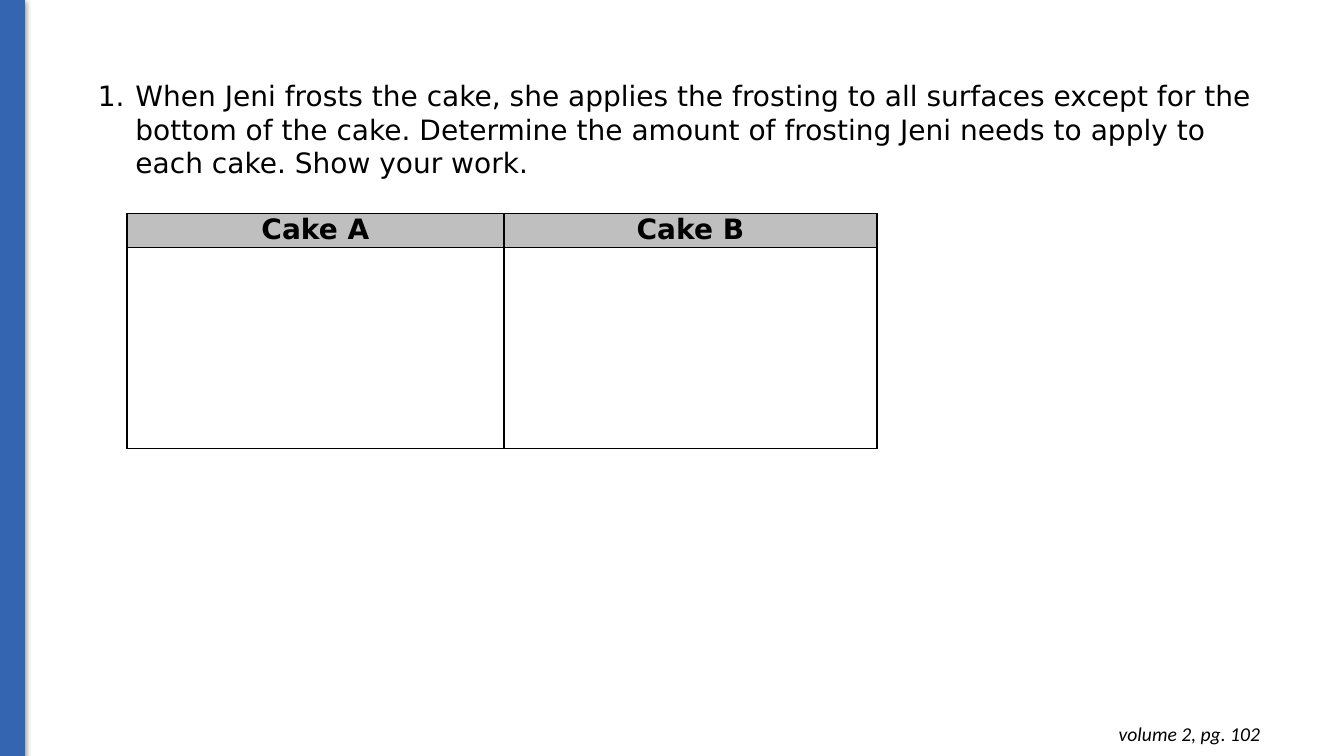
import dataclasses

import lxml.etree
import pptx
import pptx.dml.color
import pptx.enum.shapes
import pptx.enum.text
import pptx.oxml
import pptx.oxml.ns
import pptx.util

Cm = pptx.util.Cm
Pt = pptx.util.Pt
ALIGN = pptx.enum.text.PP_ALIGN
qn = pptx.oxml.ns.qn


@dataclasses.dataclass(frozen=True)
class Theme:
    blue: str = "3465B0"
    gray: str = "BFBFBF"
    black: str = "000000"
    main: str = "DejaVu Sans"
    note: str = "Calibri"
    text: int = 20
    small: int = 14


def color(code):
    return pptx.dml.color.RGBColor.from_string(code)


def node(parent, tag, **attrs):
    return lxml.etree.SubElement(parent, qn(tag), attrs)


class Page:
    def __init__(self, deck, theme):
        self.theme = theme
        self.slide = deck.slides.add_slide(deck.slide_layouts[1])
        title = self.slide.shapes.title
        title.element.getparent().remove(title.element)

    def add_run(self, para, text, size, face, bold=False, italic=False):
        run = para.add_run()
        run.text = text
        font = run.font
        font.size, font.name = Pt(size), face
        font.bold, font.italic = bold, italic
        font.color.rgb = color(self.theme.black)

    def place(self, shape, box):
        shape.left, shape.top, shape.width, shape.height = map(Cm, box)
        frame = shape.text_frame
        frame.word_wrap = True
        frame.auto_size = pptx.enum.text.MSO_AUTO_SIZE.SHAPE_TO_FIT_TEXT
        return frame

    def bar(self, box):
        kind = pptx.enum.shapes.MSO_SHAPE.RECTANGLE
        bar = self.slide.shapes.add_shape(kind, *map(Cm, box))
        bar.fill.solid()
        bar.fill.fore_color.rgb = color(self.theme.blue)
        bar.line.color.rgb = color(self.theme.blue)
        bar.line.width = Pt(0.75)
        bar.shadow.inherit = False
        effects = bar.element.spPr.find(qn("a:effectLst"))
        shade = node(effects, "a:outerShdw", blurRad=str(Pt(4.5)),
                     dist=str(Pt(1.5)), dir="5400000", rotWithShape="0")
        tint = node(shade, "a:srgbClr", val=self.theme.black)
        node(tint, "a:alpha", val="50000")

    def note(self, box, text):
        frame = self.place(self.slide.shapes.add_textbox(0, 0, 0, 0), box)
        frame.margin_left = frame.margin_right = Cm(0.25)
        frame.margin_top = frame.margin_bottom = Cm(0.25)
        para = frame.paragraphs[0]
        para.alignment = ALIGN.RIGHT
        self.add_run(para, text, self.theme.small, self.theme.note,
                     italic=True)

    def task(self, box, text):
        """Fill the body placeholder with a numbered question."""
        frame = self.place(self.slide.placeholders[1], box)
        para = frame.paragraphs[0]
        props = para._p.get_or_add_pPr()
        props.set("marL", str(Cm(0.95)))
        props.set("indent", str(Cm(-0.95)))
        node(node(props, "a:buClr"), "a:srgbClr", val=self.theme.black)
        node(props, "a:buFont", typeface=self.theme.main)
        node(props, "a:buAutoNum", type="arabicPeriod")
        para.space_before = Pt(0)
        self.add_run(para, text, self.theme.text, self.theme.main)

    def border(self, cell):
        props = cell._tc.get_or_add_tcPr()
        for side in "LRTB":
            line = node(props, f"a:ln{side}", w=str(Pt(1)))
            node(node(line, "a:solidFill"), "a:srgbClr", val=self.theme.black)

    def table(self, left, top, cols, rows, heads):
        table = self.slide.shapes.add_table(
            len(rows), len(cols), Cm(left), Cm(top),
            Cm(sum(cols)), Cm(sum(rows))).table
        for col, width in zip(table.columns, cols):
            col.width = Cm(width)
        for row, height in zip(table.rows, rows):
            row.height = Cm(height)
        for cell in table.iter_cells():
            self.border(cell)
            cell.fill.background()
            cell.margin_left = cell.margin_right = Cm(0.18)
            cell.margin_top = cell.margin_bottom = 0
        for cell, head in zip(table.rows[0].cells, heads):
            cell.fill.solid()
            cell.fill.fore_color.rgb = color(self.theme.gray)
            para = cell.text_frame.paragraphs[0]
            para.alignment = ALIGN.CENTER
            self.add_run(para, head, self.theme.text, self.theme.main,
                         bold=True)


def main():
    deck = pptx.Presentation()
    deck.slide_width, deck.slide_height = Cm(33.87), Cm(19.05)
    page = Page(deck, Theme())
    page.bar((0, 0, 0.61, 19.08))
    page.note((24.69, 17.93, 7.32, 1.12), "volume 2, pg. 102")
    page.task((2.21, 1.85, 29.79, 2.82),
              "When Jeni frosts the cake, she applies the frosting to all "
              "surfaces except for the bottom of the cake. Determine the "
              "amount of frosting Jeni needs to apply to each cake. "
              "Show your work.")
    page.table(3.2, 5.38, (9.5, 9.4), (0.86, 5.06), ("Cake A", "Cake B"))
    deck.save("out.pptx")


if __name__ == "__main__":
    main()
